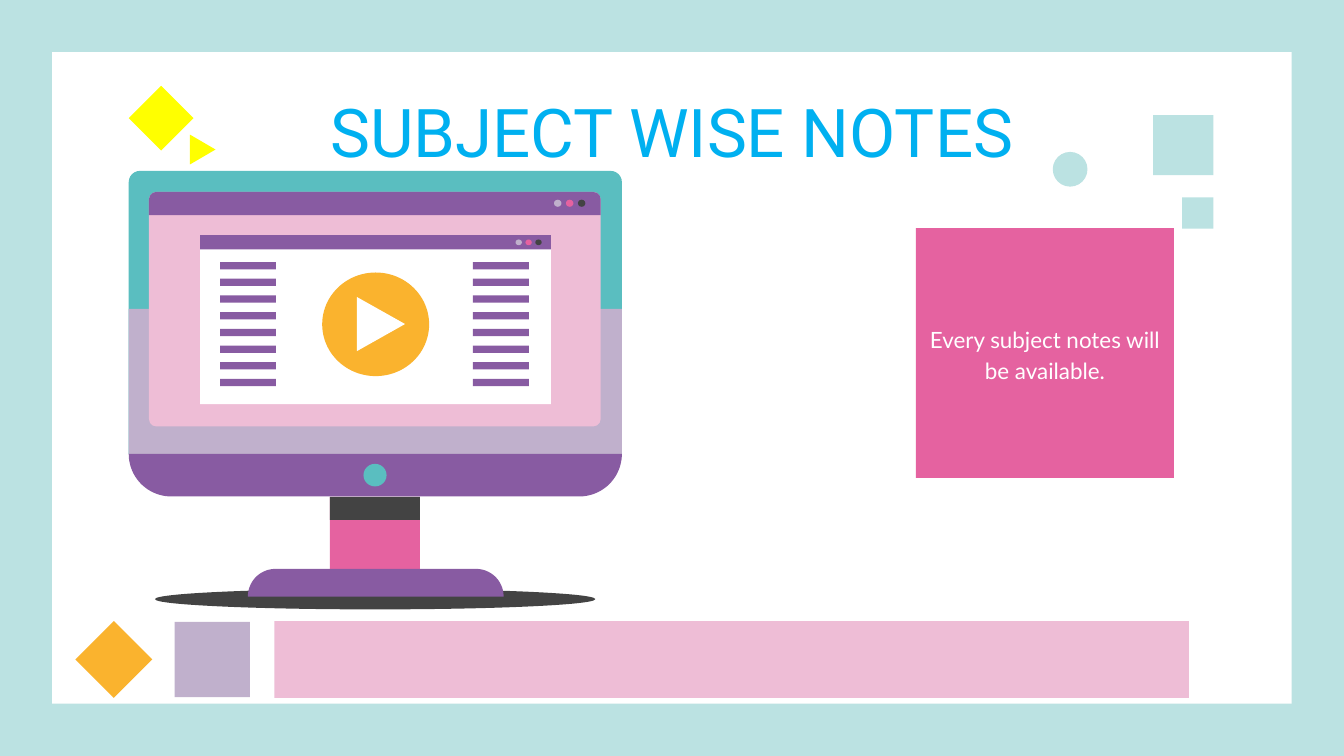
from math import cos, pi, sin

from pptx import Presentation
from pptx.dml.color import RGBColor
from pptx.enum.shapes import MSO_SHAPE as Preset
from pptx.enum.text import MSO_ANCHOR, MSO_AUTO_SIZE, PP_ALIGN
from pptx.util import Pt

AQUA = RGBColor(0xBB, 0xE2, 0xE2)
WHITE = RGBColor(0xFF, 0xFF, 0xFF)
CHARCOAL = RGBColor(0x43, 0x43, 0x43)
PINK = RGBColor(0xE5, 0x62, 0xA0)
PALE_PINK = RGBColor(0xEE, 0xBD, 0xD6)
PURPLE = RGBColor(0x88, 0x5B, 0xA2)
LILAC = RGBColor(0xC0, 0xB0, 0xCC)
TEAL = RGBColor(0x5A, 0xBE, 0xC0)
ORANGE = RGBColor(0xFA, 0xB3, 0x2E)
YELLOW = RGBColor(0xFF, 0xFF, 0x00)
SKY = RGBColor(0x00, 0xB0, 0xF0)


def add_flat(parent, preset, left, top, width, height, color, radius=None):
    """Add a preset shape without line or shadow; radius is in points."""
    shape = parent.shapes.add_shape(preset, Pt(left), Pt(top), Pt(width), Pt(height))
    shape.shadow.inherit = False
    shape.fill.solid()
    shape.fill.fore_color.rgb = color
    shape.line.fill.background()
    if radius:
        shape.adjustments[0] = radius / min(width, height)
    return shape


def add_dome(parent, left, base, width, rise, color):
    """Add a flat bar with full quarter-round ends; a negative rise points down."""
    radius, steps = abs(rise), 24
    quarter = [(radius * (1 - cos(pi / 2 * i / steps)), rise * sin(pi / 2 * i / steps))
               for i in range(steps + 1)]
    points = [(left + x, base - y) for x, y in quarter]
    points += [(left + width - x, base - y) for x, y in reversed(quarter)]
    outline = [(Pt(x), Pt(y)) for x, y in points]
    builder = parent.shapes.build_freeform(*outline[0])
    builder.add_line_segments(outline[1:], close=True)
    dome = builder.convert_to_shape()
    dome.shadow.inherit = False
    dome.fill.solid()
    dome.fill.fore_color.rgb = color
    dome.line.fill.background()


prs = Presentation()
prs.slide_width, prs.slide_height = Pt(720), Pt(405)
slide = prs.slides.add_slide(prs.slide_layouts[5])
slide.background.fill.solid()
slide.background.fill.fore_color.rgb = AQUA

# White page, behind the title
title = slide.shapes.title
page = add_flat(slide, Preset.RECTANGLE, 28, 28, 664, 349, WHITE)
title.element.addprevious(page.element)

title.left, title.top, title.width, title.height = Pt(61), Pt(46), Pt(598), Pt(45.5)
heading = title.text_frame
heading.word_wrap = True
heading.auto_size = MSO_AUTO_SIZE.NONE
heading.vertical_anchor = MSO_ANCHOR.TOP
heading.margin_top = heading.margin_bottom = Pt(7.2)
line = heading.paragraphs[0]
line.alignment = PP_ALIGN.CENTER
line.line_spacing = 0.9
run = line.add_run()
run.text = "SUBJECT WISE NOTES"
run.font.size = Pt(36)
run.font.name = "Roboto"
run.font.color.rgb = SKY

# Computer: stand, casing, screen
computer = slide.shapes.add_group_shape()
add_flat(computer, Preset.OVAL, 83, 315.5, 236, 11, CHARCOAL)
add_flat(computer, Preset.RECTANGLE, 176.8, 266.2, 48.2, 38.8, PINK)
add_flat(computer, Preset.RECTANGLE, 176.8, 266.2, 48.2, 12.4, CHARCOAL)
add_dome(computer, 132.8, 319.6, 137, 14.8, PURPLE)
add_flat(computer, Preset.ROUND_2_SAME_RECTANGLE, 69, 91.6, 264.2, 151.6, TEAL, 6)
add_flat(computer, Preset.RECTANGLE, 69, 165.5, 264.2, 77.7, LILAC)
add_dome(computer, 69, 243.2, 264.2, -22.8, PURPLE)
add_flat(computer, Preset.OVAL, 194.7, 248.5, 12.4, 12.1, TEAL)
add_flat(computer, Preset.ROUNDED_RECTANGLE, 79.8, 102.8, 242, 125.7, PALE_PINK, 4)
add_flat(computer, Preset.ROUND_2_SAME_RECTANGLE, 79.8, 102.8, 242, 12.4, PURPLE, 4)

# Video window with its text lines and play button
add_flat(computer, Preset.RECTANGLE, 107.2, 126, 188, 90.5, WHITE)
add_flat(computer, Preset.RECTANGLE, 107.2, 126, 188, 7.6, PURPLE)
for left, top, pitch, width, height in ((296.8, 107, 6.4, 4, 3.8),
                                        (276.2, 128.3, 5.3, 3.4, 3.1)):
    for i, color in enumerate((LILAC, PINK, CHARCOAL)):
        add_flat(computer, Preset.OVAL, left + i * pitch, top, width, height, color)
add_flat(computer, Preset.OVAL, 172.6, 146, 57.3, 55.5, ORANGE)
play = add_flat(computer, Preset.ISOSCELES_TRIANGLE, 189.6, 160.7, 29, 25.8, WHITE)
play.rotation = 90
for left in (117.9, 253.4):
    for row in range(8):
        add_flat(computer, Preset.RECTANGLE, left, 140.4 + row * 8.95, 30, 3.9, PURPLE)

# Message card
card = add_flat(slide, Preset.RECTANGLE, 490.7, 122.2, 138.2, 133.9, PINK)
message = card.text_frame
message.word_wrap = True
message.vertical_anchor = MSO_ANCHOR.MIDDLE
message.margin_top = message.margin_bottom = Pt(7.2)
line = message.paragraphs[0]
line.alignment = PP_ALIGN.CENTER
line.line_spacing = 1.15
run = line.add_run()
run.text = "Every subject notes will be available."
run.font.size = Pt(12)
run.font.name = "Lato"
run.font.color.rgb = WHITE

# Decorations: top right, top left, bottom
aqua_marks = slide.shapes.add_group_shape()
add_flat(aqua_marks, Preset.RECTANGLE, 617.8, 61.7, 32.2, 32.2, AQUA)
add_flat(aqua_marks, Preset.RECTANGLE, 633.3, 105.8, 16.7, 16.7, AQUA)
add_flat(aqua_marks, Preset.OVAL, 564, 81.4, 18.6, 18.6, AQUA)

yellow_marks = slide.shapes.add_group_shape()
add_flat(yellow_marks, Preset.DIAMOND, 69, 46, 34.7, 34.7, YELLOW)
pointer = add_flat(yellow_marks, Preset.ISOSCELES_TRIANGLE, 100.6, 73.3, 16, 13.7, YELLOW)
pointer.rotation = 90

footer_marks = slide.shapes.add_group_shape()
add_flat(footer_marks, Preset.RECTANGLE, 147, 332.7, 490, 41.2, PALE_PINK)
add_flat(footer_marks, Preset.RECTANGLE, 93.6, 333.2, 40.3, 40.3, LILAC)
add_flat(footer_marks, Preset.DIAMOND, 40.4, 332.7, 41.2, 41.2, ORANGE)

prs.save("out.pptx")
